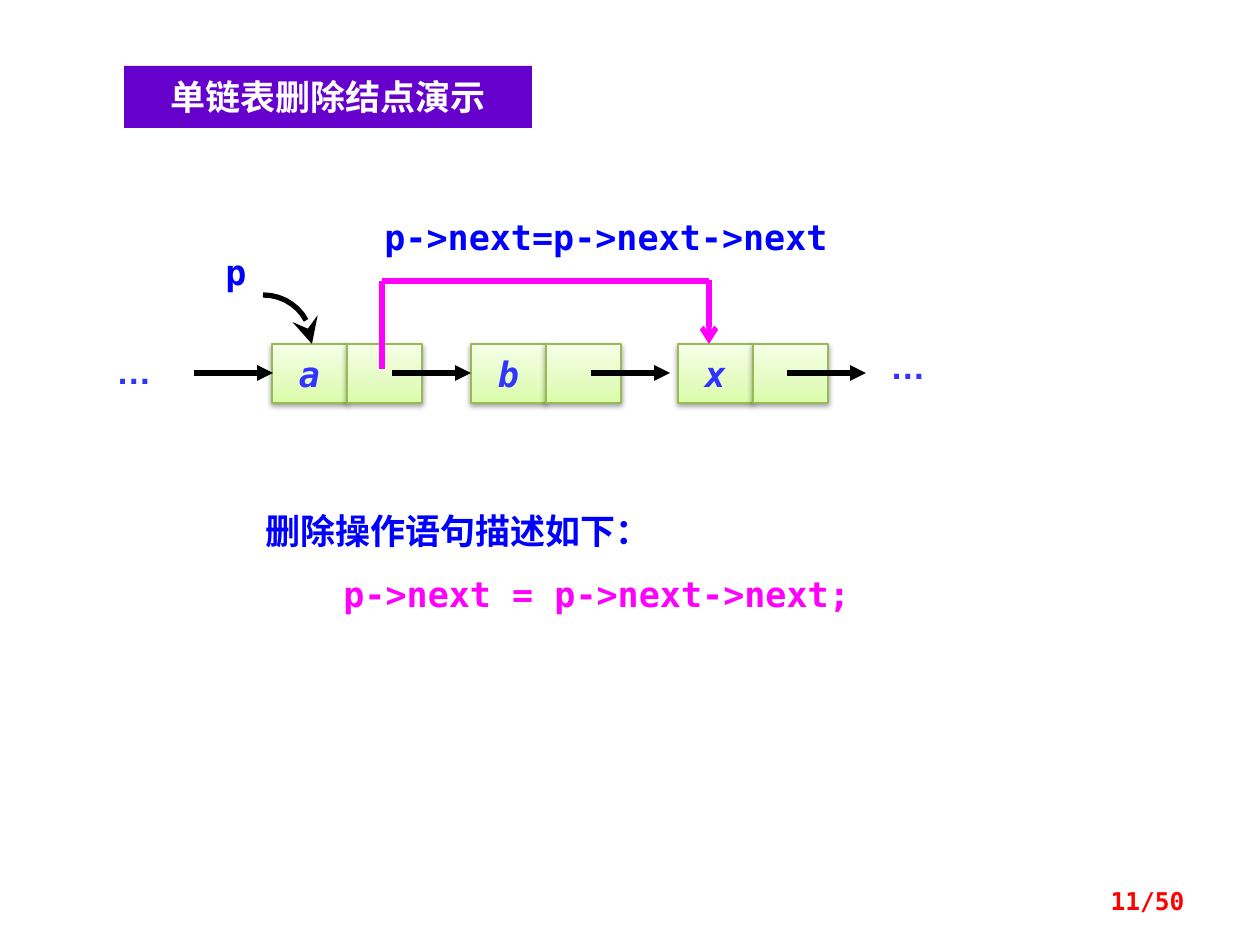
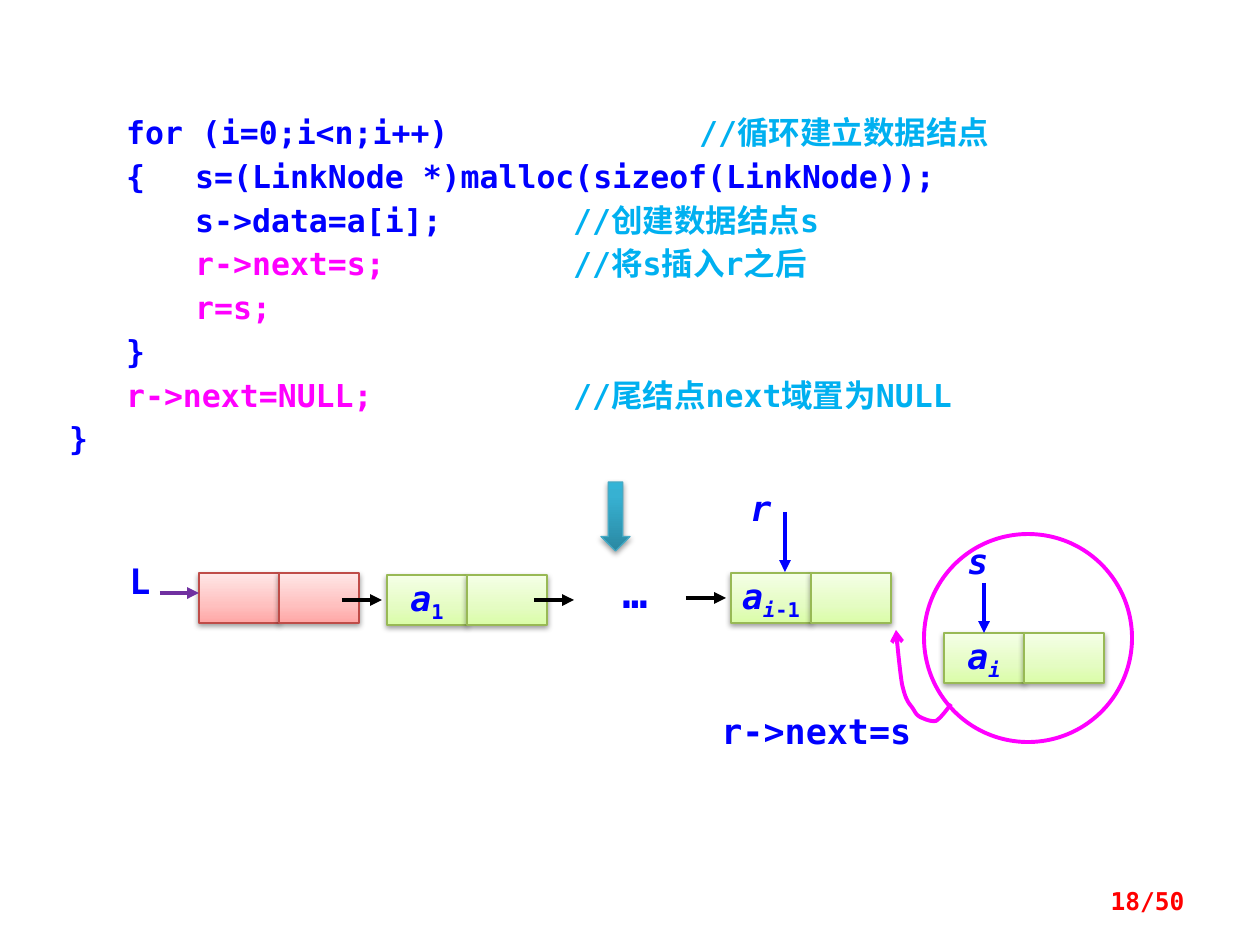
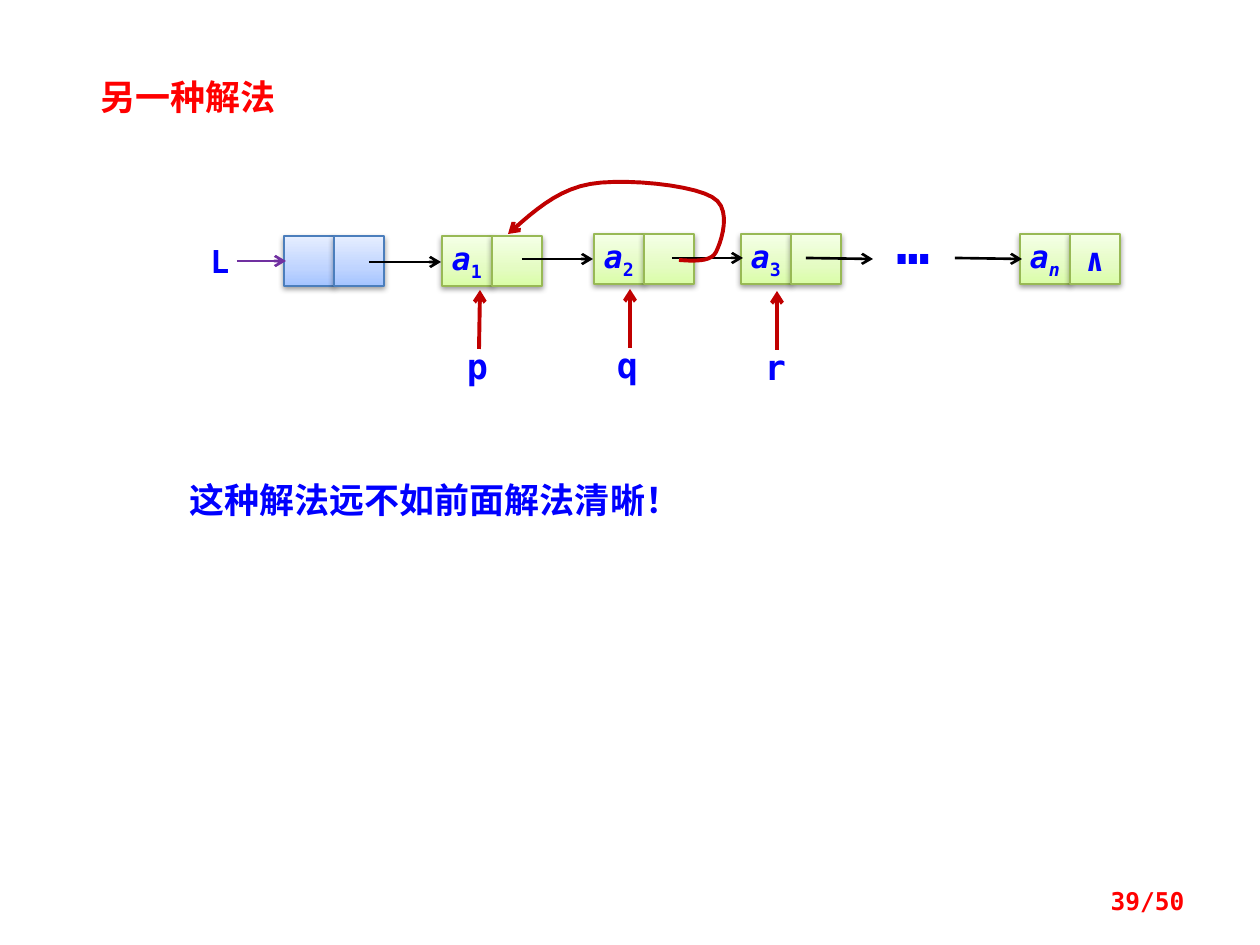
from copy import deepcopy

from lxml.etree import SubElement
from pptx import Presentation
from pptx.dml.color import RGBColor
from pptx.enum.shapes import MSO_CONNECTOR as Connector, MSO_SHAPE as Shape
from pptx.enum.text import MSO_ANCHOR as Anchor, MSO_AUTO_SIZE as AutoSize, PP_ALIGN as Align
from pptx.oxml.ns import qn
from pptx.util import Inches, Pt

# Shared style
EMU_PER_PX = 914400 / 126
MONO, SANS, CJK = "DejaVu Sans Mono", "Arial", "Noto Sans CJK SC"
BLUE, INDIGO, SKY, PINK = "0000FF", "3333FF", "00B0F0", "FF00FF"
RED, CRIMSON, VIOLET, PURPLE = "FF0000", "C00000", "7030A0", "6600CC"
BLACK, WHITE = "000000", "FFFFFF"
TITLE_ONLY, BLANK = 5, 6
# Gradient stops from bottom to top, then the outline
GREEN_NODE = ((0, "DAFDA7"), (0.35, "E4FCC2"), (1, "F5FFE7")), "98B955"
PINK_NODE = ((0, "FFA6A5"), (0.35, "FFC0BF"), (1, "FFE7E7")), "BF4C48"
BLUE_NODE = ((0, "A4C4FF"), (0.35, "BFD4FF"), (1, "E6EEFF")), "4B7EBC"
TEAL_ARROW = ((0, "2A88A2"), (0.8, "37B1D2"), (1, "34B4D6")), "46AAC5"

# Slide content. Spans are (text, flags): b bold, i italic, s subscript.
# Nodes: left, top, look, data spans, pointer spans
# Labels: left, top, width, height, text, options
# Links: x1, y1, x2, y2, colour, width, arrowhead
# Curves: start, Bezier segments, colour, width, arrowhead, head size
DELETE = {
    "page": "11/50",
    "title": ("单链表删除结点演示", (124, 66, 408, 62), WHITE, PURPLE),
    "cell": (75, 59, 20, INDIGO),
    "nodes": [
        (272, 344, GREEN_NODE, [("a", "bi")], []),
        (471, 344, GREEN_NODE, [("b", "bi")], []),
        (678, 344, GREEN_NODE, [("x", "bi")], []),
    ],
    "labels": [
        (868, 338, 80, 55, "…", dict(color=INDIGO, font=SANS, align=Align.CENTER)),
        (94, 343, 80, 55, "…", dict(color=INDIGO, font=SANS, align=Align.CENTER)),
        (213, 244, 59, 55, "p", {}),
        (372, 209, 515, 55, "p->next=p->next->next", {}),
    ],
    "links": [
        *((x, 373, x + 79, 373, BLACK, 3, "triangle") for x in (194, 392, 591, 787)),
        (382, 369, 382, 281, PINK, 3, None),
        (709, 280, 709, 344, PINK, 3, "arrow"),
        (382, 281, 709, 281, PINK, 3, None),
    ],
    "curves": [((263, 295), [((290, 295), (312, 316), (312, 344))],
                BLACK, 3, "stealth", "lg")],
}
STATEMENT_BOX = (253, 482, 675, 140)
STATEMENTS = [("删除操作语句描述如下：", BLUE, 0), ("p->next = p->next->next;", PINK, 78)]

APPEND = {
    "page": "18/50",
    "code": [
        [("   for (i=0;i<n;i++)\t\t", BLUE), ("//循环建立数据结点", SKY)],
        [("   {\ts=(LinkNode *)malloc(sizeof(LinkNode));", BLUE)],
        [("\ts->data=a[i];\t\t", BLUE), ("//创建数据结点s", SKY)],
        [("\tr->next=s;\t\t", PINK), ("//将s插入r之后", SKY)],
        [("\tr=s;", PINK)],
        [("   }", BLUE)],
        [("   r->next=NULL;\t\t", PINK), ("//尾结点next域置为NULL", SKY)],
        [("}", BLUE)],
    ],
    "cell": (80, 50, 20, BLUE),
    "nodes": [
        (199, 573, PINK_NODE, [], []),
        (387, 575, GREEN_NODE, [("a", "bi"), ("1", "bs")], []),
        (731, 573, GREEN_NODE, [("a", "bi"), ("i", "bis"), ("-1", "bs")], []),
        (944, 633, GREEN_NODE, [("a", "bi"), ("i", "bis")], []),
    ],
    "labels": [
        (738, 480, 80, 55, "r", dict(flags="bi")),
        (117, 553, 69, 55, "L", {}),
        (610, 560, 69, 63, "…", dict(size=24)),
        (955, 533, 80, 55, "s", dict(flags="bi")),
        (709, 703, 217, 55, "r->next=s", {}),
    ],
    "links": [
        (160, 593, 199, 593, VIOLET, 2.25, "triangle"),
        (342, 600, 382, 600, BLACK, 2.25, "triangle"),
        (534, 600, 574, 600, BLACK, 2.25, "triangle"),
        (686, 598, 726, 598, BLACK, 2.25, "triangle"),
        (785, 512, 785, 572, BLUE, 2.25, "triangle"),
        (984, 583, 984, 633, BLUE, 2.25, "triangle"),
    ],
    "curves": [((951, 704), [
        ((949, 707), (941, 718), (936, 721)),
        ((931, 722), (924, 719), (920, 717)),
        ((915, 714), (915, 711), (911, 706)),
        ((907, 701), (905, 697), (902, 684)),
        ((900, 672), (897, 641), (896, 630)),
    ], PINK, 2.25, "arrow", "med")],
}
CODE_BOX = (39, 77, 1182, 411)
CODE_TABS = (126, 373, 504, 630)
DOWN_ARROW = (601, 482, 29, 69)
NEW_NODE_RING = (924, 534, 208, 208)

REVERSE = {
    "page": "39/50",
    "title": ("另一种解法", (88, 69, 295, 55), RED, None),
    "cell": (50, 50, 18, BLUE),
    "nodes": [
        (284, 236, BLUE_NODE, [], []),
        (442, 236, GREEN_NODE, [("a", "bi"), ("1", "bs")], []),
        (594, 234, GREEN_NODE, [("a", "bi"), ("2", "bs")], []),
        (741, 234, GREEN_NODE, [("a", "bi"), ("3", "bs")], []),
        (1020, 234, GREEN_NODE, [("a", "bi"), ("n", "bis")], [("∧", "b")]),
    ],
    "labels": [
        (198, 236, 37, 50, "L", dict(size=18)),
        (884, 202, 62, 79, "…", dict(size=32)),
        (443, 338, 69, 55, "p", dict(align=Align.CENTER)),
        (593, 337, 69, 55, "q", dict(align=Align.CENTER)),
        (741, 339, 69, 55, "r", dict(align=Align.CENTER)),
        (177, 472, 679, 55, "这种解法远不如前面解法清晰！", dict(font=CJK)),
    ],
    "links": [
        (237, 261, 286, 261, VIOLET, 1.5, "arrow"),
        (369, 262, 441, 262, BLACK, 1.5, "arrow"),
        (522, 259, 593, 259, BLACK, 1.5, "arrow"),
        (672, 258, 743, 258, BLACK, 1.5, "arrow"),
        (806, 258, 873, 259, BLACK, 1.5, "arrow"),
        (955, 258, 1022, 259, BLACK, 1.5, "arrow"),
        (479, 349, 480, 290, CRIMSON, 2.25, "arrow"),
        (630, 348, 630, 289, CRIMSON, 2.25, "arrow"),
        (777, 350, 777, 291, CRIMSON, 2.25, "arrow"),
    ],
    "curves": [((679, 260), [
        ((694, 261), (711, 262), (716, 252)),
        ((721, 242), (733, 208), (712, 197)),
        ((692, 185), (624, 178), (590, 184)),
        ((556, 190), (532, 213), (508, 234)),
    ], CRIMSON, 2.25, "arrow", "med")],
}


# Helpers
def px(*lengths):
    return [round(length * EMU_PER_PX) for length in lengths]


def rgb(color):
    return RGBColor.from_string(color)


def write(paragraph, text, flags, size, color, font=MONO):
    span = paragraph.add_run()
    span.text = text
    span.font.size, span.font.name = Pt(size), font
    span.font.bold, span.font.italic = "b" in flags, "i" in flags
    span.font.color.rgb = rgb(color)
    properties = span._r.get_or_add_rPr()
    if "s" in flags:
        properties.set("baseline", "-25000")
    SubElement(properties, qn("a:ea")).set("typeface", CJK)


def add_box(slide, place):
    box = slide.shapes.add_textbox(*px(*place))
    box.text_frame.word_wrap = True
    return box


def add_label(slide, place, text, size=20, color=BLUE, font=MONO, flags="b",
              align=Align.LEFT, anchor=Anchor.TOP):
    frame = add_box(slide, place).text_frame
    frame.vertical_anchor = anchor
    frame.paragraphs[0].alignment = align
    write(frame.paragraphs[0], text, flags, size, color, font)


def add_glossy(slide, kind, place, look):
    """A shape with a three-stop gradient, thin outline and soft shadow."""
    stops, outline = look
    shape = slide.shapes.add_shape(kind, *px(*place))
    shape.line.color.rgb, shape.line.width = rgb(outline), Pt(0.75)
    shape.fill.gradient()
    shape.fill.gradient_angle = 90
    properties = shape.element.spPr
    stop_list = properties.find(".//" + qn("a:gsLst"))
    stop_list.insert(1, deepcopy(stop_list[0]))
    for stop, (position, color) in zip(shape.fill.gradient_stops, stops):
        stop.position, stop.color.rgb = position, rgb(color)
    shape.shadow.inherit = False
    shadow = SubElement(properties.find(qn("a:effectLst")), qn("a:outerShdw"),
                        blurRad="40000", dist="20000", dir="5400000", rotWithShape="0")
    tint = SubElement(shadow, qn("a:srgbClr"), val=BLACK)
    SubElement(tint, qn("a:alpha"), val="38000")
    return shape


def add_node(slide, cell, left, top, look, data, pointer):
    width, height, size, color = cell
    for column, spans in enumerate((data, pointer)):
        part = add_glossy(slide, Shape.RECTANGLE,
                          (left + column * width, top, width, height), look)
        frame = part.text_frame
        frame.word_wrap, frame.vertical_anchor = False, Anchor.MIDDLE
        frame.paragraphs[0].alignment = Align.CENTER
        for text, flags in spans:
            write(frame.paragraphs[0], text, flags, size, color)


def style_line(line_shape, color, width, head=None, head_size="med"):
    line_shape.line.color.rgb, line_shape.line.width = rgb(color), Pt(width)
    if head:
        SubElement(line_shape.element.spPr.find(qn("a:ln")), qn("a:tailEnd"),
                   type=head, w=head_size, len=head_size)


def add_link(slide, x1, y1, x2, y2, color, width, head):
    link = slide.shapes.add_connector(Connector.STRAIGHT, *px(x1, y1, x2, y2))
    style_line(link, color, width, head)
    SubElement(link.element.spPr, qn("a:effectLst"))


def bezier(points, t):
    weights = ((1 - t) ** 3, 3 * t * (1 - t) ** 2, 3 * t * t * (1 - t), t ** 3)
    return [sum(w * point[axis] for w, point in zip(weights, points)) for axis in (0, 1)]


def add_curve(slide, start, segments, color, width, head, head_size, steps=10):
    points, origin = [], start
    for segment in segments:
        points += [px(*bezier((origin, *segment), step / steps))
                   for step in range(1, steps + 1)]
        origin = segment[-1]
    builder = slide.shapes.build_freeform(*px(*start))
    builder.add_line_segments(points, close=False)
    curve = builder.convert_to_shape()
    curve.fill.background()
    curve.shadow.inherit = False
    style_line(curve, color, width, head, head_size)


def add_title(slide, text, place, color, band):
    title = slide.shapes.title
    title.left, title.top, title.width, title.height = px(*place)
    frame = title.text_frame
    frame.auto_size, frame.vertical_anchor = AutoSize.NONE, Anchor.MIDDLE
    frame.paragraphs[0].alignment = Align.CENTER if band else Align.LEFT
    write(frame.paragraphs[0], text, "b", 20, color)
    if band:
        title.fill.solid()
        title.fill.fore_color.rgb = rgb(band)


def add_lines(frame, count, spacing):
    """The given number of paragraphs, all with one line spacing."""
    paragraphs = [frame.paragraphs[0]] + [frame.add_paragraph() for _ in range(count - 1)]
    for paragraph in paragraphs:
        paragraph.line_spacing = spacing
    return paragraphs


def add_code(slide, code):
    panel = slide.shapes.add_shape(Shape.RECTANGLE, *px(*CODE_BOX))
    panel.fill.solid()
    panel.fill.fore_color.rgb = rgb(WHITE)
    panel.line.fill.background()
    panel.shadow.inherit = False
    frame = panel.text_frame
    frame.word_wrap, frame.vertical_anchor = True, Anchor.TOP
    frame.margin_left = frame.margin_top = frame.margin_bottom = Inches(0.24)
    frame.margin_right = Inches(0.16)
    for para, spans in zip(add_lines(frame, len(code), Pt(25)), code):
        para.alignment = Align.LEFT
        tabs = SubElement(para._p.get_or_add_pPr(), qn("a:tabLst"))
        for position in px(*CODE_TABS):
            SubElement(tabs, qn("a:tab"), pos=str(position), algn="l")
        for text, color in spans:
            write(para, text, "b", 18, color)


def add_page(deck, content):
    """A slide with its title or code, list diagram and page number."""
    layout = TITLE_ONLY if "title" in content else BLANK
    slide = deck.slides.add_slide(deck.slide_layouts[layout])
    if "title" in content:
        add_title(slide, *content["title"])
    if "code" in content:
        add_code(slide, content["code"])
    for node in content["nodes"]:
        add_node(slide, content["cell"], *node)
    for *place, text, options in content["labels"]:
        add_label(slide, place, text, **options)
    for link in content["links"]:
        add_link(slide, *link)
    for curve in content["curves"]:
        add_curve(slide, *curve)
    add_label(slide, (903, 876, 294, 50), content["page"], size=14, color=RED,
              align=Align.RIGHT, anchor=Anchor.MIDDLE)
    return slide


def add_statements(slide):
    frame = add_box(slide, STATEMENT_BOX).text_frame
    for para, (text, color, indent) in zip(add_lines(frame, len(STATEMENTS), 1.5), STATEMENTS):
        para._p.get_or_add_pPr().set("marL", str(px(indent)[0]))
        write(para, text, "b", 20, color)


def main():
    deck = Presentation()
    deck.slide_width, deck.slide_height = Inches(10), Inches(7.5)

    # Deleting a node
    add_statements(add_page(deck, DELETE))

    # Appending nodes at the tail
    slide = add_page(deck, APPEND)
    add_glossy(slide, Shape.DOWN_ARROW, DOWN_ARROW, TEAL_ARROW)
    ring = slide.shapes.add_shape(Shape.OVAL, *px(*NEW_NODE_RING))
    ring.fill.background()
    ring.shadow.inherit = False
    style_line(ring, PINK, 2.25)

    # Reversing the list
    add_page(deck, REVERSE)

    deck.save("out.pptx")


if __name__ == "__main__":
    main()
